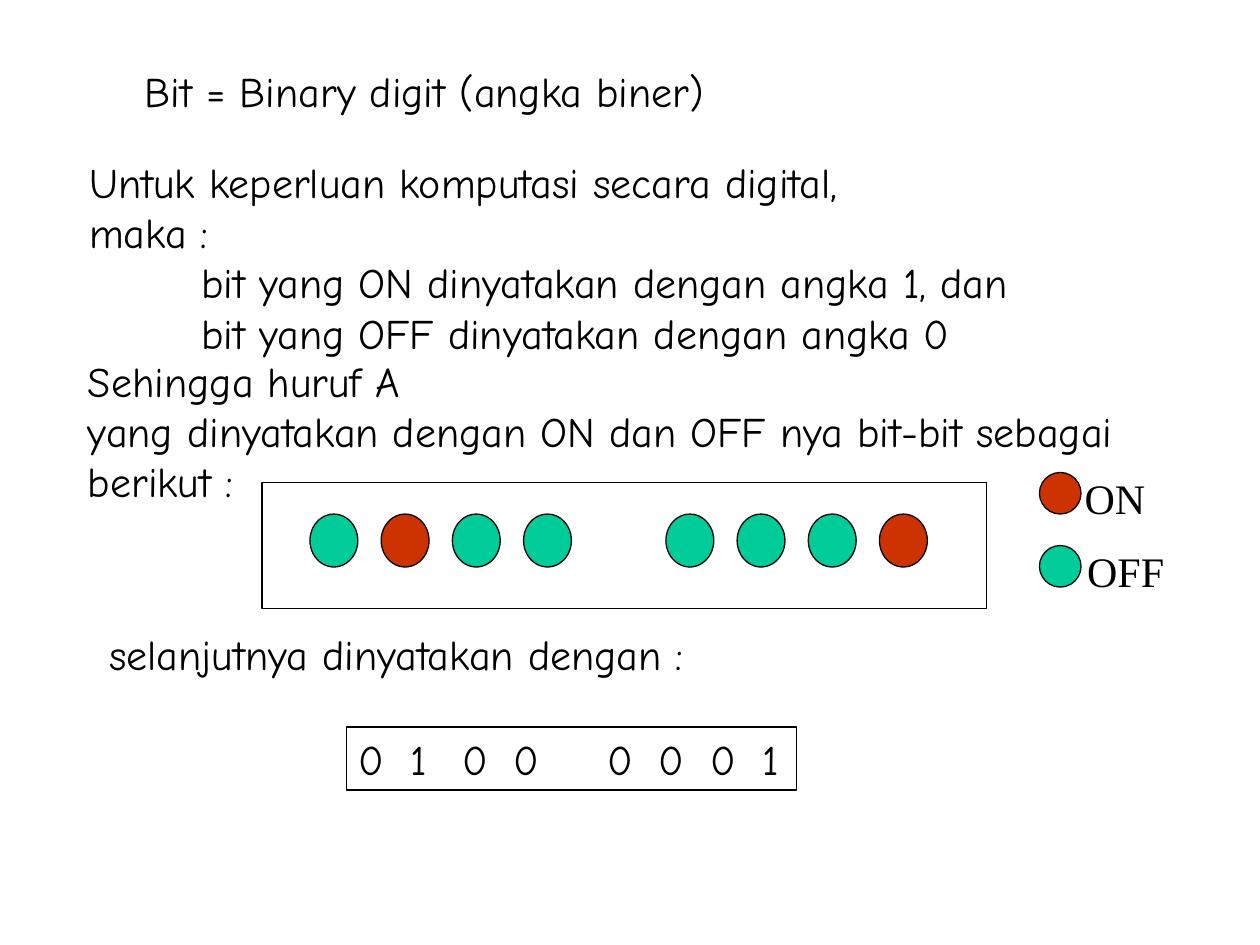
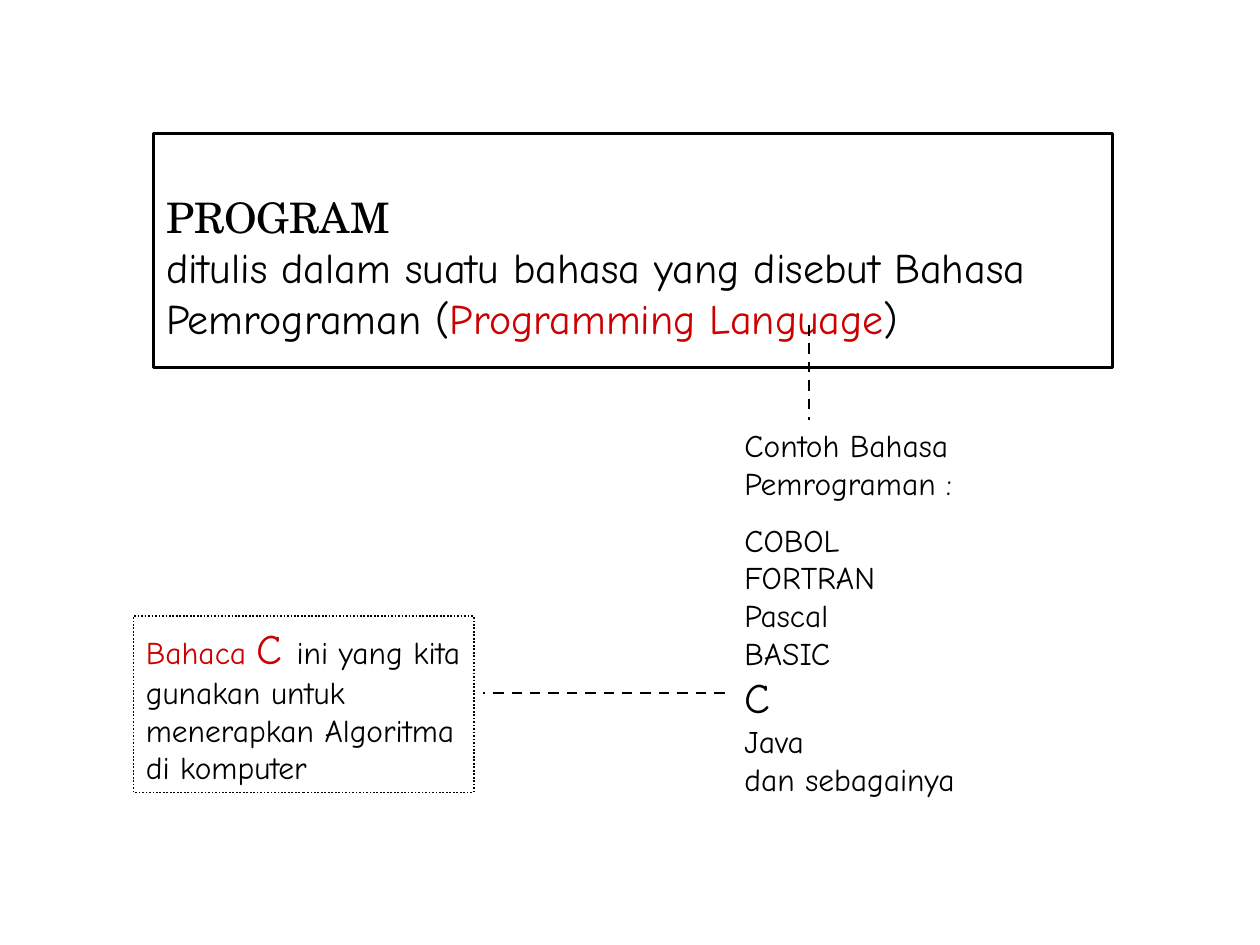
from dataclasses import dataclass
from lxml import etree
from pptx import Presentation
from pptx.dml.color import RGBColor
from pptx.enum.dml import MSO_LINE_DASH_STYLE as Dash
from pptx.enum.shapes import MSO_CONNECTOR as Connector, MSO_SHAPE as Shape
from pptx.enum.text import MSO_ANCHOR as Anchor, MSO_AUTO_SIZE as AutoSize, PP_ALIGN as Align
from pptx.oxml.ns import qn
from pptx.util import Inches, Pt


@dataclass(frozen=True)
class Theme:
    ink: str = "000000"
    accent: str = "CC0000"
    lamp_on: str = "CC3300"
    lamp_off: str = "00CC99"
    body_font: str = "Comic Neue"
    heading_font: str = "TeX Gyre Schola"
    label_font: str = "Times New Roman"
    large: int = 24
    small: int = 18
    thin: float = 0.75
    dotted: float = 1
    thick: float = 1.5


THEME = Theme()
TITLE_ONLY, BLANK = 5, 6
LETTER_BITS = "01000001"


def inches(*values):
    return [Inches(value) for value in values]


# Shared text helpers
def add_span(para, text, size=THEME.large, font=THEME.body_font, color=THEME.ink):
    span = para.add_run()
    span.text = text
    formats = {"size": Pt(size), "name": font, "bold": False}
    for name, value in formats.items():
        setattr(span.font, name, value)
    span.font.color.rgb = RGBColor.from_string(color)


def write_lines(shape, lines, wrap=False, top_inset=0.05, **defaults):
    """Each line is a string or a list of (text, format) spans."""
    frame = shape.text_frame
    formats = {
        "word_wrap": wrap, "auto_size": AutoSize.NONE, "vertical_anchor": Anchor.TOP,
        "margin_left": Inches(0.1), "margin_right": Inches(0.1),
        "margin_top": Inches(top_inset), "margin_bottom": Inches(0.05),
    }
    for name, value in formats.items():
        setattr(frame, name, value)
    for index, line in enumerate(lines):
        para = frame.add_paragraph() if index else frame.paragraphs[0]
        para.alignment = Align.LEFT
        for text, style in [(line, {})] if isinstance(line, str) else line:
            add_span(para, text, **{**defaults, **style})
    return frame.paragraphs


def add_text(page, box, lines, **options):
    return write_lines(page.shapes.add_textbox(*inches(*box)), lines, **options)


def set_tabs(para, stops):
    properties = para._p.get_or_add_pPr()
    tabs = etree.SubElement(properties, qn("a:tabLst"))
    for stop in stops:
        etree.SubElement(tabs, qn("a:tab"), pos=str(Inches(stop)), algn="l")


# Shared drawing helpers
def add_outline(shapes, kind, box, fill=None, width=THEME.thin, dash=None):
    shape = shapes.add_shape(kind, *inches(*box))
    shape.shadow.inherit = False
    if fill:
        shape.fill.solid()
        shape.fill.fore_color.rgb = RGBColor.from_string(fill)
    else:
        shape.fill.background()
    style_line(shape.line, width, dash)
    return shape


def style_line(line, width, dash=None):
    line.color.rgb = RGBColor.from_string(THEME.ink)
    line.width = Pt(width)
    if dash:
        line.dash_style = dash


def add_dashed_line(page, start, end):
    connector = page.shapes.add_connector(Connector.STRAIGHT, *inches(*start, *end))
    style_line(connector.line, THEME.thick, Dash.DASH)
    etree.SubElement(connector._element.spPr, qn("a:effectLst"))


# Regions of the bit slide
def add_title(page, box, text):
    title = page.shapes.title
    title.left, title.top, title.width, title.height = inches(*box)
    write_lines(title, [text])


def add_lamp_panel(page, box):
    left, top, width, height = box
    shapes = page.shapes.add_group_shape().shapes
    pitch = 0.565
    for index, bit in enumerate(LETTER_BITS):
        slot = index + index // 4
        lamp = (left + 0.38 + slot * pitch, top + 0.25, 0.38, 0.42)
        add_outline(shapes, Shape.OVAL, lamp,
                    THEME.lamp_on if bit == "1" else THEME.lamp_off)
    add_outline(shapes, Shape.RECTANGLE, box)


def add_legend(page, box):
    left, top, width, height = box
    rows = [("ON", THEME.lamp_on, 0.26), ("OFF", THEME.lamp_off, 0.28)]
    for index, (label, color, offset) in enumerate(rows):
        row_top = top + index * 0.58
        add_outline(page.shapes, Shape.OVAL, (left, row_top, 0.33, 0.33), color)
        add_text(page, (left + offset, row_top - 0.05, width - offset, 0.5),
                 [label], font=THEME.label_font, wrap=True)


def add_digit_box(page, box):
    frame = add_outline(page.shapes, Shape.RECTANGLE, box)
    paras = write_lines(frame, ["\t".join(LETTER_BITS)], wrap=True)
    pitch, nibble_gap = 0.41, 0.33
    set_tabs(paras[0], [index * pitch + index // 4 * nibble_gap
                        for index in range(1, len(LETTER_BITS))])


def build_bit_slide(deck):
    page = deck.slides.add_slide(deck.slide_layouts[TITLE_ONLY])
    add_title(page, (1.05, 0.47, 4.64, 0.5), "Bit = Binary digit (angka biner)")
    paras = add_text(page, (0.61, 1.19, 7.74, 1.7), [
        "Untuk keperluan komputasi secara digital,",
        "maka :",
        "bit yang ON dinyatakan dengan angka 1, dan",
        "bit yang OFF dinyatakan dengan angka 0",
    ], wrap=True)
    for para in paras[2:]:
        para._p.get_or_add_pPr().set("marL", str(Inches(0.89)))
    add_text(page, (0.6, 2.77, 8.36, 1.3), [
        "Sehingga huruf A",
        "yang dinyatakan dengan ON dan OFF nya bit-bit sebagai",
        "berikut :",
    ])
    add_lamp_panel(page, (2.08, 3.83, 5.75, 1))
    add_legend(page, (8.25, 3.75, 1.15, 1))
    add_text(page, (0.77, 4.94, 4.78, 0.5), ["selanjutnya dinyatakan dengan :"])
    add_digit_box(page, (2.75, 5.77, 3.57, 0.5))


# Regions of the program slide
def add_definition(page, box):
    frame = add_outline(page.shapes, Shape.RECTANGLE, box, width=THEME.thick)
    write_lines(frame, [
        [("PROGRAM", {"font": THEME.heading_font})],
        [("ditulis dalam suatu bahasa yang disebut Bahasa Pemrograman (", {}),
         ("Programming Language", {"color": THEME.accent}),
         (")", {})],
    ], wrap=True, top_inset=0.46)


def add_language_list(page, box):
    paras = add_text(page, box, [
        "Contoh Bahasa", "Pemrograman :",
        "COBOL", "FORTRAN", "Pascal", "BASIC",
        [("C", {"size": THEME.large})],
        "Java", "dan sebagainya",
    ], size=THEME.small)
    paras[2].space_before = Pt(11)


def add_callout(page, box):
    frame = add_outline(page.shapes, Shape.RECTANGLE, box,
                        width=THEME.dotted, dash=Dash.ROUND_DOT)
    write_lines(frame, [
        [("Bahaca ", {"color": THEME.accent}),
         ("C ", {"color": THEME.accent, "size": THEME.large}),
         ("ini yang kita", {})],
        "gunakan untuk", "menerapkan Algoritma", "di komputer",
    ], size=THEME.small)


def build_program_slide(deck):
    page = deck.slides.add_slide(deck.slide_layouts[BLANK])
    add_definition(page, (1.22, 1.06, 7.61, 1.86))
    add_dashed_line(page, (6.42, 2.58), (6.42, 3.33))
    add_language_list(page, (5.81, 3.33, 1.87, 3.05))
    add_dashed_line(page, (5.75, 5.5), (3.83, 5.5))
    add_callout(page, (1.06, 4.89, 2.7, 1.4))


def main():
    deck = Presentation()
    deck.slide_width, deck.slide_height = inches(10, 7.5)
    build_bit_slide(deck)
    build_program_slide(deck)
    deck.save("out.pptx")


if __name__ == "__main__":
    main()
